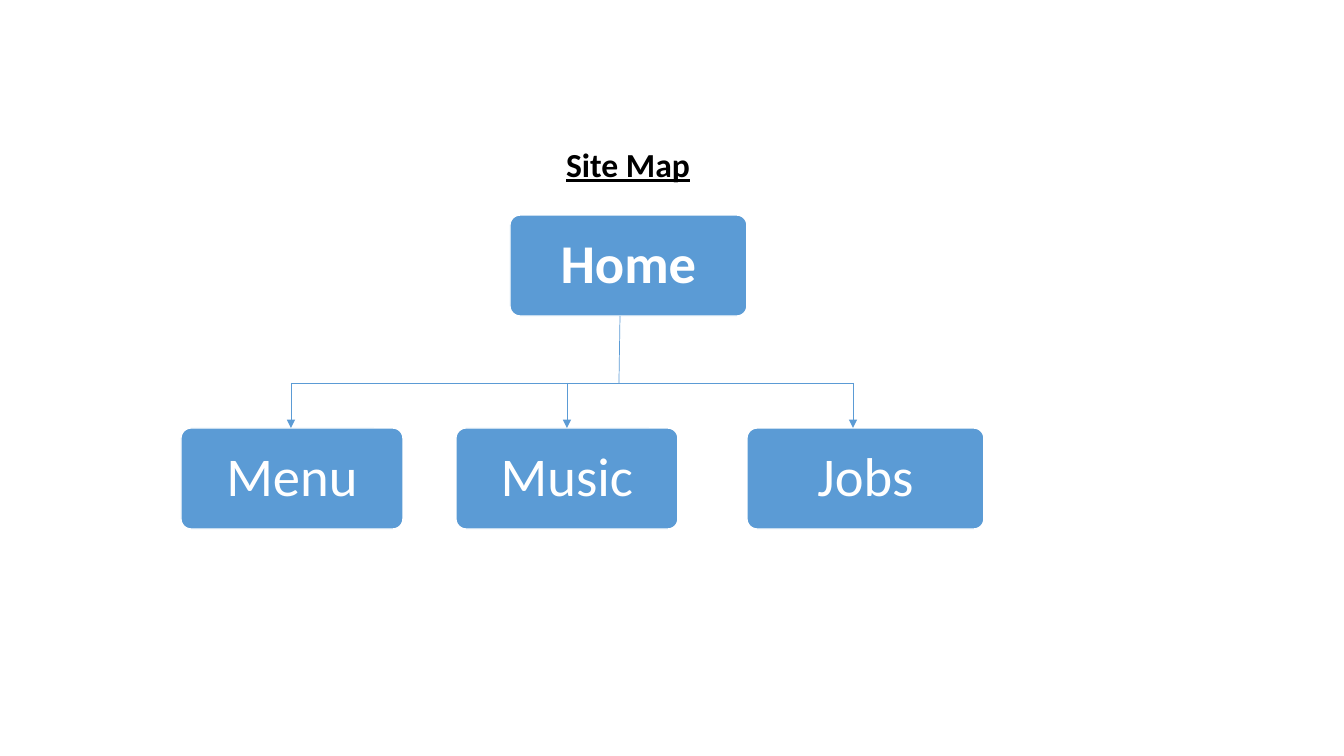
from lxml.etree import SubElement
from pptx import Presentation
from pptx.dml.color import RGBColor
from pptx.enum.shapes import MSO_CONNECTOR, MSO_SHAPE
from pptx.enum.text import MSO_ANCHOR, PP_ALIGN
from pptx.oxml.ns import qn
from pptx.util import Emu, Pt

SCALE = 914400 / 100.8
BLUE, WHITE, BLACK = "5B9BD5", "FFFFFF", "000000"


def px(*lengths):
    return [Emu(round(length * SCALE)) for length in lengths]


def write(shape, text, size, color, bold):
    frame = shape.text_frame
    frame.word_wrap = True
    frame.vertical_anchor = MSO_ANCHOR.MIDDLE
    para = frame.paragraphs[0]
    para.alignment = PP_ALIGN.CENTER
    span = para.add_run()
    span.text = text
    span.font.name = "Calibri"
    span.font.size = Pt(size)
    span.font.bold = bold
    span.font.color.rgb = RGBColor.from_string(color)
    return para


deck = Presentation()
deck.slide_width, deck.slide_height = px(1344, 756)
page = deck.slides.add_slide(deck.slide_layouts[5])

title = page.shapes.title
title.left, title.top, title.width, title.height = px(440, 139, 376, 50)
heading = write(title, "Site Map", 24, BLACK, True)
heading.runs[0].font.underline = True

home_bottom, branch_y, child_top = 316, 383, 428
boxes = [
    ("Home", 510, 215, 237),
    ("Menu", 181, child_top, 222),
    ("Music", 456, child_top, 222),
    ("Jobs", 747, child_top, 237),
]
for label, left, top, width in boxes:
    box = page.shapes.add_shape(MSO_SHAPE.ROUNDED_RECTANGLE, *px(left, top, width, 101))
    box.adjustments[0] = 0.1
    box.shadow.inherit = False
    box.fill.solid()
    box.fill.fore_color.rgb = RGBColor.from_string(BLUE)
    box.line.color.rgb = RGBColor.from_string(WHITE)
    box.line.width = Pt(1)
    frame = box.text_frame
    frame.margin_left, frame.margin_top, frame.margin_right, frame.margin_bottom = px(19, 19, 19, 19)
    para = write(box, label, 39, WHITE, label == "Home")
    para.line_spacing = 0.9

arrow_xs = [291, 567, 853]
links = [
    (620, home_bottom, 619, branch_y, False),
    (arrow_xs[0], branch_y, arrow_xs[-1] + 1, branch_y, False),
]
links += [(x, branch_y, x, child_top, True) for x in arrow_xs]
for start_x, start_y, end_x, end_y, has_arrow in links:
    link = page.shapes.add_connector(MSO_CONNECTOR.STRAIGHT, *px(start_x, start_y, end_x, end_y))
    link.line.color.rgb = RGBColor.from_string(BLUE)
    link.line.width = Pt(0.5)
    if has_arrow:
        SubElement(link.get_or_add_ln(), qn("a:tailEnd"), type="triangle")
    SubElement(link._element.spPr, qn("a:effectLst"))

deck.save("out.pptx")
